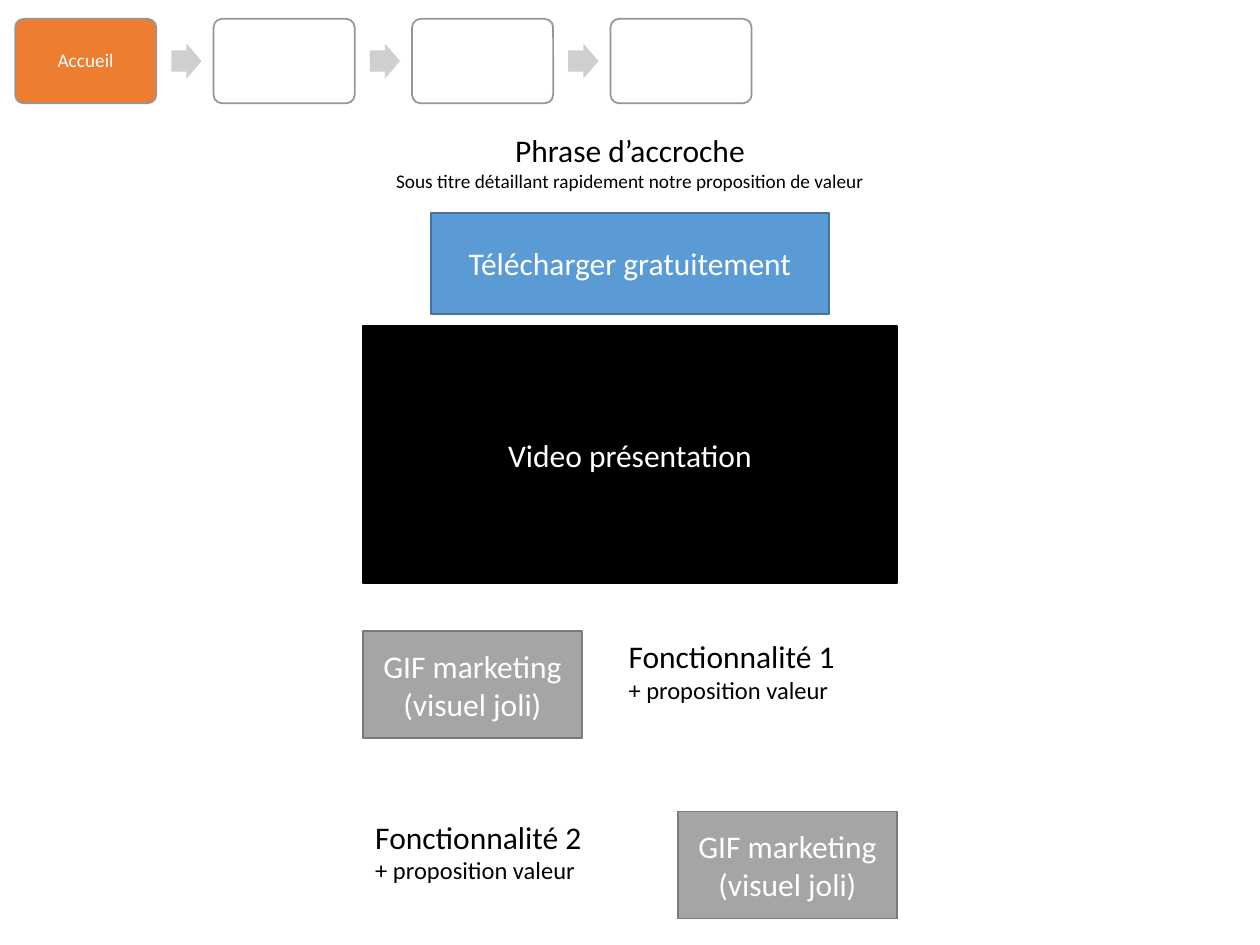
from dataclasses import dataclass

from pptx import Presentation
from pptx.dml.color import RGBColor
from pptx.enum.shapes import MSO_SHAPE
from pptx.enum.text import MSO_ANCHOR, MSO_AUTO_SIZE, PP_ALIGN
from pptx.util import Inches, Pt

RECT, ROUND, ARROW = MSO_SHAPE.RECTANGLE, MSO_SHAPE.ROUNDED_RECTANGLE, MSO_SHAPE.RIGHT_ARROW
LEFT, CENTER = PP_ALIGN.LEFT, PP_ALIGN.CENTER
TOP, MIDDLE = MSO_ANCHOR.TOP, MSO_ANCHOR.MIDDLE


@dataclass(frozen=True)
class Theme:
    font: str = "Calibri"
    large: int = 18
    medium: int = 14
    small: int = 11
    black: str = "000000"
    white: str = "FFFFFF"
    orange: str = "ED7D31"
    step_line: str = "969696"
    arrow: str = "CFCFCF"
    blue: str = "5B9BD5"
    blue_line: str = "43739E"
    gray: str = "A5A5A5"
    gray_line: str = "7A7A7A"


T = Theme()

# Content
STEPS = ["Accueil", "", "", ""]
HEADLINE = [("Phrase d’accroche", T.large),
            ("Sous titre détaillant rapidement notre proposition de valeur", T.small)]
BUTTON = "Télécharger gratuitement"
VIDEO = "Video présentation"
VISUAL = "GIF marketing (visuel joli)"
FEATURES = ["Fonctionnalité 1", "Fonctionnalité 2"]
VALUE = "+ proposition valeur"

# Layout, in inches
SLIDE_W, SLIDE_H = 10, 7.5
STEP_X, STEP_Y, STEP_W, STEP_H, STEP_PITCH = 0.12, 0.15, 1.12, 0.67, 1.575
ARROW_W, ARROW_H, ARROW_GAP = 0.24, 0.28, 0.12
COL_W = 4.24
COL_X = (SLIDE_W - COL_W) / 2
COL_RIGHT = COL_X + COL_W
VISUAL_W, VISUAL_H, FEATURE_W, FEATURE_H = 1.74, 0.85, 2.23, 0.64
FEATURE_Y, FEATURE_PITCH = 5.01, 1.43


def write(tf, lines, color=T.black, align=LEFT, anchor=TOP, inset=None, spacing=None):
    """Fill a text frame with (text, size) lines."""
    tf.word_wrap = True
    tf.auto_size = MSO_AUTO_SIZE.NONE
    tf.vertical_anchor = anchor
    if inset is not None:
        tf.margin_left = tf.margin_right = tf.margin_top = tf.margin_bottom = Inches(inset)
    for i, (text, size) in enumerate(lines):
        p = tf.paragraphs[0] if i == 0 else tf.add_paragraph()
        p.alignment = align
        if spacing:
            p.line_spacing = spacing
        r = p.add_run()
        r.text = text
        r.font.name, r.font.size = T.font, Pt(size)
        r.font.color.rgb = RGBColor.from_string(color)


def add_box(s, kind, x, y, w, h, fill, line=None, adjust=()):
    sp = s.shapes.add_shape(kind, Inches(x), Inches(y), Inches(w), Inches(h))
    sp.shadow.inherit = False
    for i, value in enumerate(adjust):
        sp.adjustments[i] = value
    sp.fill.solid()
    sp.fill.fore_color.rgb = RGBColor.from_string(fill)
    if line:
        sp.line.color.rgb = RGBColor.from_string(line)
        sp.line.width = Pt(1)
    else:
        sp.line.fill.background()
    return sp


def add_panel(s, text, x, y, w, h, fill, line):
    sp = add_box(s, RECT, x, y, w, h, fill, line)
    write(sp.text_frame, [(text, T.large)], color=T.white, align=CENTER, anchor=MIDDLE)


prs = Presentation()
prs.slide_width, prs.slide_height = Inches(SLIDE_W), Inches(SLIDE_H)
s = prs.slides.add_slide(prs.slide_layouts[5])

# Headline
title = s.shapes.title
title.left, title.top, title.width, title.height = map(Inches, (2.98, 0.99, 4.04, 0.59))
write(title.text_frame, HEADLINE, align=CENTER)

# Navigation steps
for i, label in enumerate(STEPS):
    x = STEP_X + i * STEP_PITCH
    if i:
        add_box(s, ARROW, x - STEP_PITCH + STEP_W + ARROW_GAP, STEP_Y + (STEP_H - ARROW_H) / 2,
                ARROW_W, ARROW_H, T.arrow, adjust=(0.6, 0.5))
    step = add_box(s, ROUND, x, STEP_Y, STEP_W, STEP_H,
                   T.orange if label else T.white, T.step_line, adjust=(0.1,))
    if label:
        write(step.text_frame, [(label, T.small)], color=T.white, align=CENTER,
              anchor=MIDDLE, inset=0.05, spacing=0.9)

# Download button and video
add_panel(s, BUTTON, 3.42, 1.69, 3.16, 0.8, T.blue, T.blue_line)
add_panel(s, VIDEO, COL_X, 2.59, COL_W, 2.04, T.black, T.black)

# Features, with the visual on alternating sides
for i, name in enumerate(FEATURES):
    y = FEATURE_Y + i * FEATURE_PITCH
    visual_x, text_x = COL_X, COL_RIGHT - FEATURE_W
    if i % 2:
        visual_x, text_x = COL_RIGHT - VISUAL_W, COL_X
    add_panel(s, VISUAL, visual_x, y, VISUAL_W, VISUAL_H, T.gray, T.gray_line)
    tb = s.shapes.add_textbox(Inches(text_x), Inches(y), Inches(FEATURE_W), Inches(FEATURE_H))
    write(tb.text_frame, [(name, T.large), (VALUE, T.medium)])

prs.save("out.pptx")
